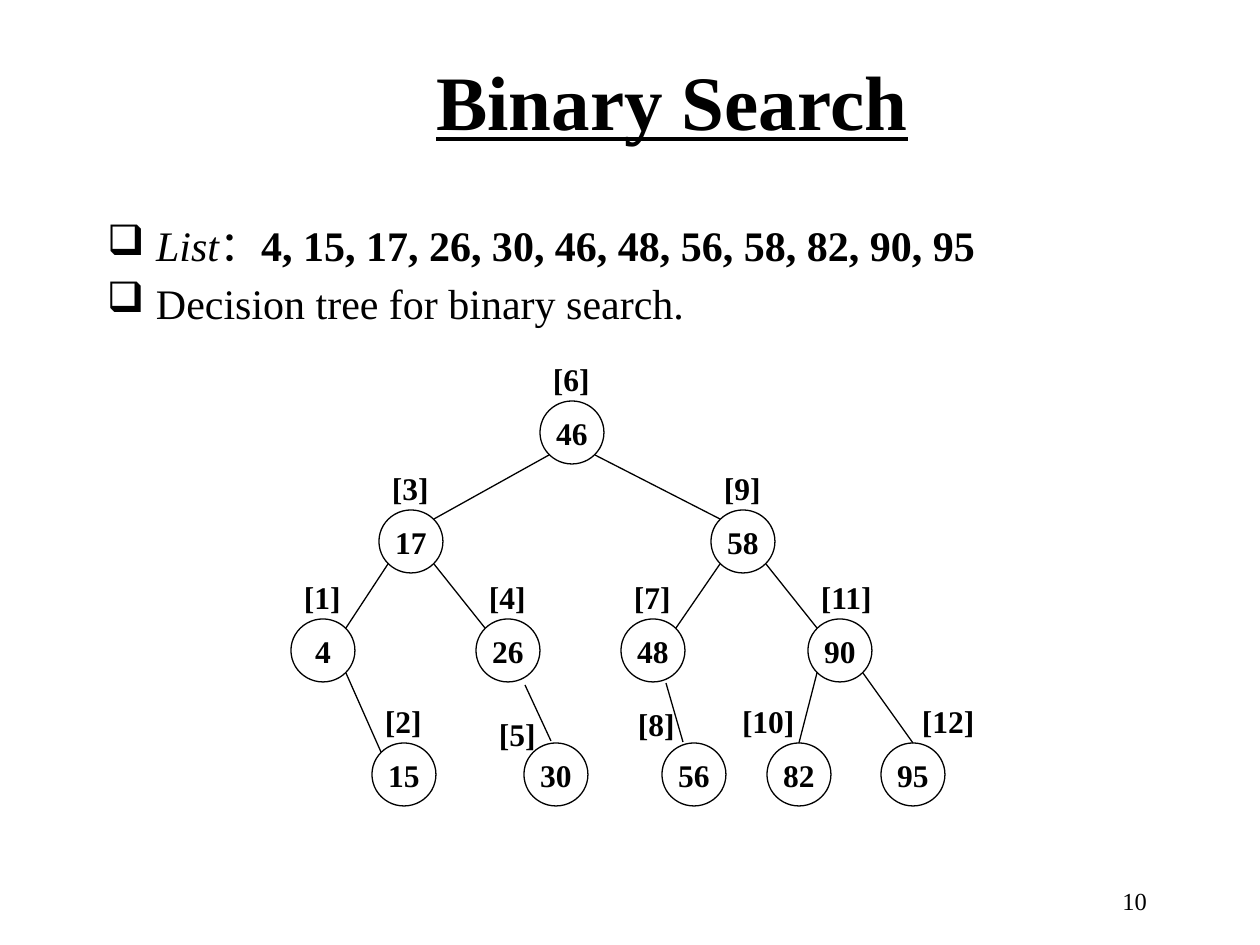
from dataclasses import dataclass
from lxml.etree import SubElement
from pptx import Presentation
from pptx.dml.color import RGBColor as Color
from pptx.enum.shapes import MSO_CONNECTOR as Link, MSO_SHAPE as Shape
from pptx.enum.text import MSO_ANCHOR as Anchor, PP_ALIGN as Align
from pptx.oxml.ns import qn
from pptx.util import Emu, Pt


@dataclass(frozen=True)
class Theme:
    ink: str = "000000"
    font: str = "Times New Roman"
    head: int = 44
    body: int = 24
    node: int = 18
    foot: int = 14
    line: float = 0.75


THEME = Theme()
WIDE, HIGH = 64, 63
ROWS = (401, 510, 619, 743)
LIST = (4, 15, 17, 26, 30, 46, 48, 56, 58, 82, 90, 95)
NODES = {
    46: (540, 0), 17: (379, 1), 58: (711, 1),
    4: (291, 2), 26: (476, 2), 48: (621, 2), 90: (808, 2),
    15: (372, 3), 30: (524, 3), 56: (662, 3), 82: (767, 3), 95: (881, 3),
}
TAGS = {56: (-37, -44), 30: (-38, -34), 82: (-38, -47), 95: (28, -47)}
TL, TR, BL, BR, TOP = (9, 9), (55, 9), (9, 54), (55, 54), (32, 0)
EDGES = (
    (46, BL, 17, TR), (46, BR, 58, TL),
    (17, BL, 4, TR), (17, BR, 26, TL),
    (58, BL, 48, TR), (58, BR, 90, TL),
    (4, BR, 15, TL), (26, (49, 66), 30, (27, -2)),
    (48, (45, 64), 56, (21, -1)),
    (90, BL, 82, TOP), (90, BR, 95, TOP),
)


def px(num):
    return Emu(round(num * 914400 / 126))


def write(shape, runs, size, align=Align.LEFT, anchor=Anchor.TOP,
          pad=(13, 6, 13, 6), wrap=True, bullet=None):
    """Fill a shape with one paragraph of (text, style names) runs."""
    frame = shape.text_frame
    frame.word_wrap, frame.vertical_anchor = wrap, anchor
    (frame.margin_left, frame.margin_top,
     frame.margin_right, frame.margin_bottom) = map(px, pad)
    para = frame.paragraphs[0]
    para.alignment = align
    if bullet:
        props = para._p.get_or_add_pPr()
        props.set("marL", str(px(49)))
        props.set("indent", str(px(-49)))
        tint = SubElement(props, qn("a:buClr"))
        SubElement(tint, qn("a:srgbClr"), val=THEME.ink)
        SubElement(props, qn("a:buChar"), char=bullet)
    for text, *marks in runs:
        run = para.add_run()
        run.text = text
        font = run.font
        font.name, font.size = THEME.font, Pt(size)
        font.color.rgb = Color.from_string(THEME.ink)
        font.bold = "bold" in marks
        font.italic = "italic" in marks
        font.underline = "under" in marks


def label(slide, box, runs, size, **style):
    """Add a text box."""
    write(slide.shapes.add_textbox(*map(px, box)), runs, size, **style)


def title(slide, box, text):
    """Place and format the title placeholder."""
    shape = slide.shapes.title
    shape.left, shape.top, shape.width, shape.height = map(px, box)
    write(shape, [(text, "bold", "under")], THEME.head,
          align=Align.CENTER, anchor=Anchor.BOTTOM, pad=(13, 6, 13, 2))


def pen(line):
    """Give a line the theme colour and width."""
    line.color.rgb = Color.from_string(THEME.ink)
    line.width = Pt(THEME.line)


def node(slide, value):
    """Draw a tree node with its list index beside it."""
    left, row = NODES[value]
    top = ROWS[row]
    oval = slide.shapes.add_shape(
        Shape.OVAL, *map(px, (left, top, WIDE, HIGH)))
    oval.shadow.inherit = False
    oval.fill.background()
    pen(oval.line)
    write(oval, [(str(value), "bold")], THEME.node, align=Align.CENTER,
          anchor=Anchor.MIDDLE, pad=(0, 0, 0, 0), wrap=False)
    index = LIST.index(value) + 1
    dx, dy = TAGS.get(value, (0, -47))
    wide = WIDE if index < 10 else 82
    label(slide, (left + dx, top + dy, wide, 50),
          [(f"[{index}]", "bold")], THEME.node)


def spot(value, shift):
    left, row = NODES[value]
    return px(left + shift[0]), px(ROWS[row] + shift[1])


def edge(slide, start, out, end, into):
    """Join two tree nodes with a line."""
    line = slide.shapes.add_connector(
        Link.STRAIGHT, *spot(start, out), *spot(end, into))
    pen(line.line)
    SubElement(line._element.spPr, qn("a:effectLst"))


def main():
    deck = Presentation()
    deck.slide_width, deck.slide_height = px(1260), px(945)
    slide = deck.slides.add_slide(deck.slide_layouts[5])
    title(slide, (294, 42, 756, 106), "Binary Search")
    items = ", ".join(map(str, LIST))
    label(slide, (94, 214, 915, 63),
          [("List", "italic"), ("：",), (items, "bold")],
          THEME.body, bullet="❑")
    label(slide, (94, 271, 819, 63), [("Decision tree for binary search.",)],
          THEME.body, anchor=Anchor.MIDDLE, bullet="❑")
    for value in NODES:
        node(slide, value)
    for item in EDGES:
        edge(slide, *item)
    label(slide, (898, 880, 262, 63), [("10",)], THEME.foot,
          align=Align.RIGHT)
    deck.save("out.pptx")


if __name__ == "__main__":
    main()
